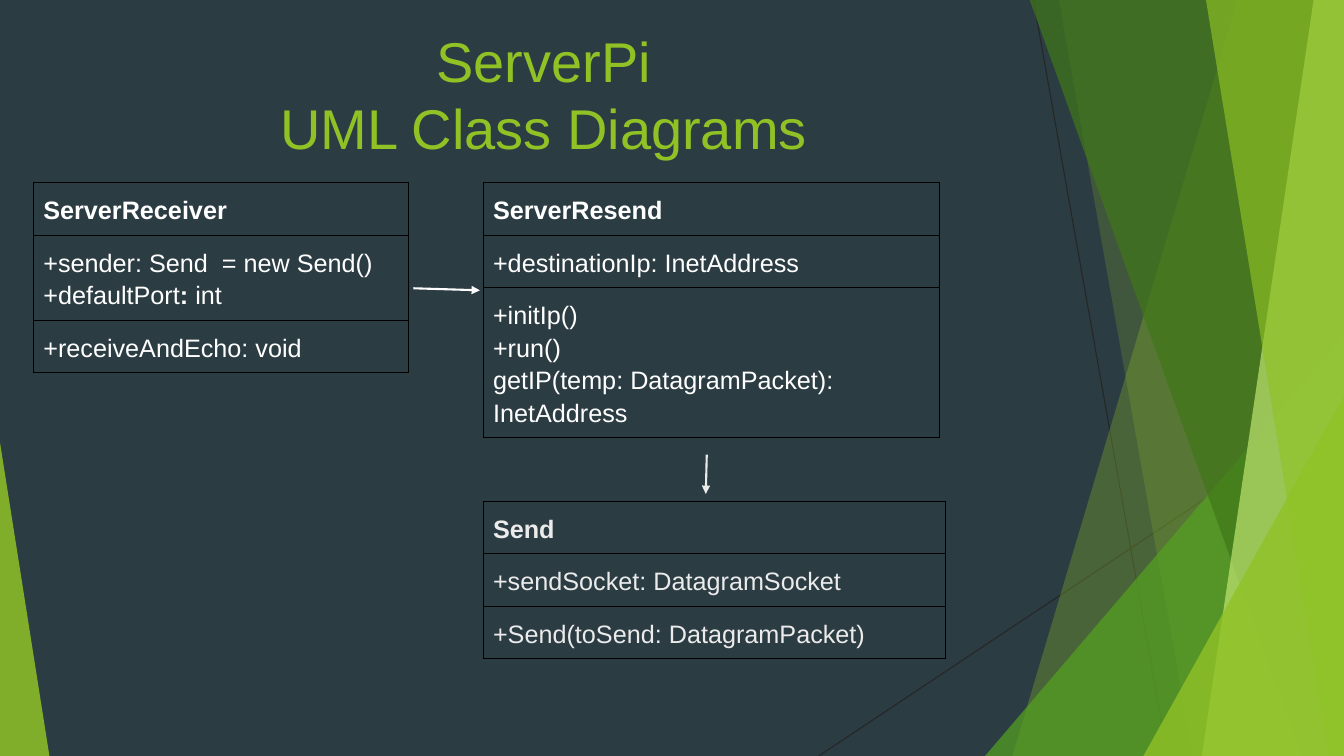
from lxml.etree import SubElement
from pptx import Presentation
from pptx.dml.color import RGBColor
from pptx.enum.shapes import MSO_CONNECTOR, MSO_SHAPE
from pptx.enum.text import MSO_ANCHOR, MSO_AUTO_SIZE, PP_ALIGN
from pptx.oxml.ns import qn
from pptx.util import Inches, Pt

TITLE = ["ServerPi", "UML Class Diagrams"]

CLASSES = [
    {"left": 0.33, "top": 1.81, "width": 3.72, "color": "white", "rows": [
        (1, [[("ServerReceiver", True)]]),
        (2, [[("+sender: Send  = new Send()", False)],
             [("+defaultPort", False), (": ", True), ("int", False)]]),
        (1, [[("+receiveAndEcho: void", False)]]),
    ]},
    {"left": 4.79, "top": 1.81, "width": 4.53, "color": "white", "rows": [
        (1, [[("ServerResend", True)]]),
        (1, [[("+destinationIp: InetAddress", False)]]),
        (4, [[("+initIp()", False)], [("+run()", False)],
             [("getIP(temp: DatagramPacket): InetAddress", False)]]),
    ]},
    {"left": 4.79, "top": 4.97, "width": 4.59, "color": "pale", "rows": [
        (1, [[("Send", True)]]),
        (1, [[("+sendSocket: DatagramSocket", False)]]),
        (1, [[("+Send(toSend: DatagramPacket)", False)]]),
    ]},
]

ARROWS = [
    ((4.1, 2.86), (4.76, 2.88), "white"),
    ((7.01, 4.51), (7, 4.9), "pale"),
]

THIN_LINES = [
    ((10.25, 0), (11.58, 7.5)),
    ((13.33, 4.03), (8.12, 7.5)),
]

FACETS = [
    ("band", (12.28, 10.04), "lime", 30),
    ("band", (10.5, 11.83), "lime", 20),
    ("triangle", (9.77, 3.33, 3.56, 4.17, 1), "green", 72),
    ("band", (10.21, 12.91), "forest", 70),
    ("band", (13.03, 11.92), "light", 70),
    ("band", (11.96, 13.18), "lime", 65),
    ("triangle", (11.34, 3.93, 1.99, 3.57, 1), "lime", 80),
    ("triangle", (0, 4.39, 0.49, 3.11, 0), "lime", 85),
]

THEME = {
    "font": "Arial", "title_size": 40, "body_size": 18,
    "background": "2C3C43", "lime": "90C226", "green": "54A021",
    "forest": "3F7818", "light": "BFE471", "thin": "262626",
    "white": "FFFFFF", "pale": "EBEBEB", "border": "000000",
}
WIDTH, HEIGHT = 13.33, 7.5
INSET, LINE_HEIGHT = 0.1, 0.32


def color(name):
    return RGBColor.from_string(THEME[name])


def add_run(paragraph, text, size, color_name, bold=False):
    run = paragraph.add_run()
    run.text = text
    run.font.name = THEME["font"]
    run.font.size = Pt(THEME[size])
    run.font.bold = bold
    run.font.color.rgb = color(color_name)


def paragraph_at(frame, index):
    return frame.add_paragraph() if index else frame.paragraphs[0]


def add_line(slide, start, end, color_name, width, arrow=False):
    connector = slide.shapes.add_connector(
        MSO_CONNECTOR.STRAIGHT, *map(Inches, start + end))
    connector.line.color.rgb = color(color_name)
    connector.line.width = Pt(width)
    if arrow:
        line = connector.line._get_or_add_ln()
        SubElement(line, qn("a:tailEnd"), type="triangle")
    SubElement(connector._element.spPr, qn("a:effectLst"))


def add_facet(slide, kind, geometry, color_name, opacity):
    if kind == "band":
        top_left, bottom_left = geometry
        builder = slide.shapes.build_freeform(
            Inches(top_left), Inches(-0.01), scale=1.0)
        corners = [(WIDTH, -0.01), (WIDTH, HEIGHT), (bottom_left, HEIGHT)]
        builder.add_line_segments(
            [(Inches(x), Inches(y)) for x, y in corners], close=True)
        shape = builder.convert_to_shape()
    else:
        *box, apex = geometry
        shape = slide.shapes.add_shape(
            MSO_SHAPE.ISOSCELES_TRIANGLE, *map(Inches, box))
        shape.adjustments[0] = apex
    shape.shadow.inherit = False
    shape.line.fill.background()
    shape.fill.solid()
    shape.fill.fore_color.rgb = color(color_name)
    tint = shape._element.spPr.find(qn("a:solidFill"))[0]
    SubElement(tint, qn("a:alpha"), val=str(opacity * 1000))


def add_title(slide):
    title = slide.shapes.title
    title.left, title.top = Inches(1.25), Inches(0.22)
    title.width, title.height = Inches(8.28), Inches(1.41)
    frame = title.text_frame
    frame.word_wrap = True
    frame.auto_size = MSO_AUTO_SIZE.NONE
    frame.vertical_anchor = MSO_ANCHOR.MIDDLE
    frame.margin_left = frame.margin_right = Inches(INSET)
    frame.margin_top = frame.margin_bottom = Inches(INSET)
    for index, text in enumerate(TITLE):
        paragraph = paragraph_at(frame, index)
        paragraph.alignment = PP_ALIGN.CENTER
        add_run(paragraph, text, "title_size", "lime")


def add_borders(cell):
    properties = cell._tc.get_or_add_tcPr()
    for side in ("lnL", "lnR", "lnT", "lnB"):
        line = SubElement(properties, qn(f"a:{side}"), w=str(Pt(0.75)))
        fill = SubElement(line, qn("a:solidFill"))
        SubElement(fill, qn("a:srgbClr"), val=THEME["border"])


def fill_cell(cell, lines, color_name):
    add_borders(cell)
    cell.fill.background()
    cell.margin_left = cell.margin_right = Inches(INSET)
    cell.margin_top = cell.margin_bottom = Inches(INSET)
    for index, runs in enumerate(lines):
        paragraph = paragraph_at(cell.text_frame, index)
        paragraph.line_spacing = 1.15
        for text, bold in runs:
            add_run(paragraph, text, "body_size", color_name, bold)


def add_class(slide, box):
    heights = [2 * INSET + LINE_HEIGHT * count for count, _ in box["rows"]]
    frame = slide.shapes.add_table(
        len(heights), 1, Inches(box["left"]), Inches(box["top"]),
        Inches(box["width"]), Inches(sum(heights)))
    table = frame.table
    table.first_row = table.horz_banding = False
    for index, (_, lines) in enumerate(box["rows"]):
        table.rows[index].height = Inches(heights[index])
        fill_cell(table.cell(index, 0), lines, box["color"])


def main():
    presentation = Presentation()
    presentation.slide_width = Inches(WIDTH)
    presentation.slide_height = Inches(HEIGHT)
    slide = presentation.slides.add_slide(presentation.slide_layouts[5])
    slide.background.fill.solid()
    slide.background.fill.fore_color.rgb = color("background")
    for start, end in THIN_LINES:
        add_line(slide, start, end, "thin", 0.75)
    for facet in FACETS:
        add_facet(slide, *facet)
    add_title(slide)
    for box in CLASSES:
        add_class(slide, box)
    for start, end, color_name in ARROWS:
        add_line(slide, start, end, color_name, 1.5, arrow=True)
    presentation.save("out.pptx")


if __name__ == "__main__":
    main()
